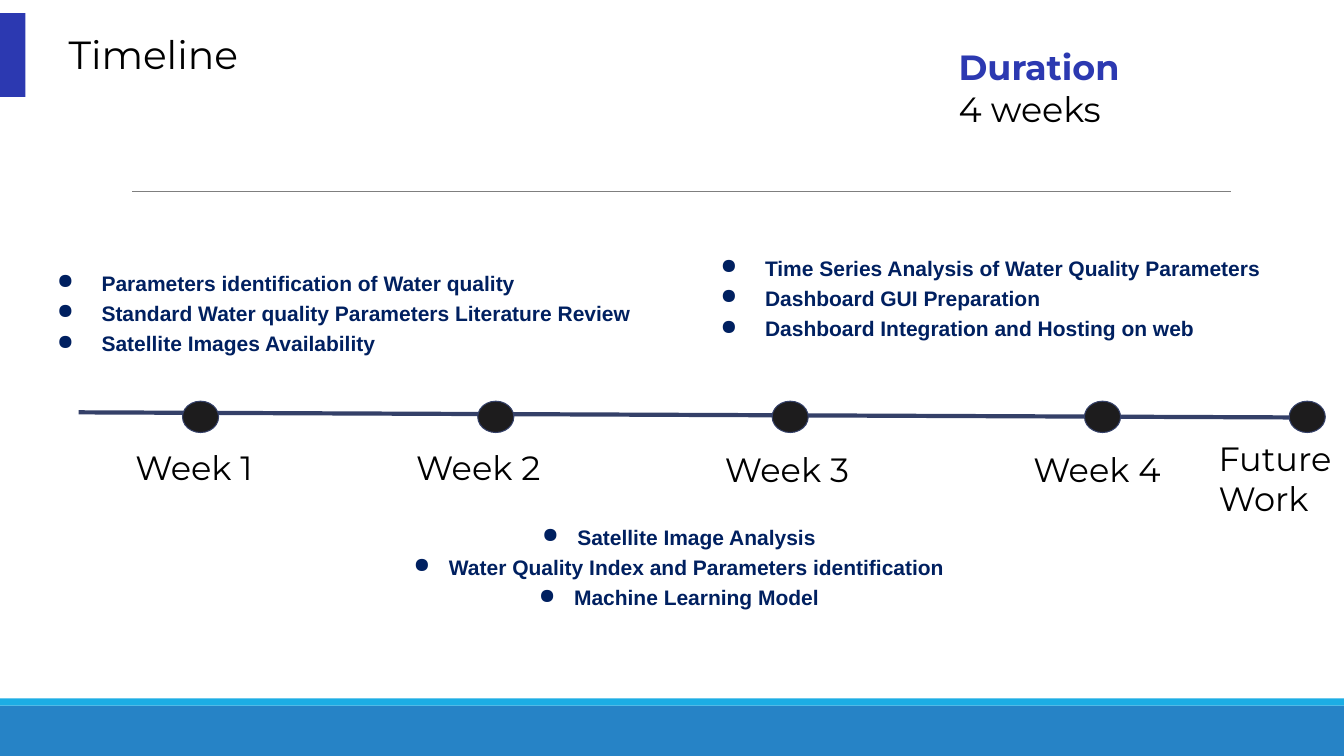
import pptx
import pptx.dml.color
import pptx.enum.shapes
import pptx.enum.text
import pptx.oxml.ns
import pptx.util
from lxml import etree

Cm, Pt = pptx.util.Cm, pptx.util.Pt
SHAPE = pptx.enum.shapes.MSO_SHAPE
ALIGN = pptx.enum.text.PP_ALIGN
ANCHOR = pptx.enum.text.MSO_ANCHOR
qn = pptx.oxml.ns.qn


def rgb(value):
    return pptx.dml.color.RGBColor.from_string(value)


class Deck:
    heading_font = "Montserrat"
    list_font = "Arial"
    black = "000000"
    indigo = "2C39B1"
    navy = "002060"
    slate = "344068"

    def __init__(self, width, height):
        self.prs = pptx.Presentation()
        self.prs.slide_width, self.prs.slide_height = Cm(width), Cm(height)
        self.s = self.prs.slides.add_slide(self.prs.slide_layouts[6])

    def shape(self, kind, x, y, w, h, fill, line=None):
        sp = self.s.shapes.add_shape(kind, Cm(x), Cm(y), Cm(w), Cm(h))
        sp.shadow.inherit = False
        sp.fill.solid()
        sp.fill.fore_color.rgb = rgb(fill)
        if line:
            sp.line.color.rgb = rgb(line)
            sp.line.width = Pt(0.75)
        else:
            sp.line.fill.background()

    def line(self, x1, y1, x2, y2, color, width):
        ln = self.s.shapes.add_connector(
            pptx.enum.shapes.MSO_CONNECTOR.STRAIGHT, Cm(x1), Cm(y1), Cm(x2), Cm(y2))
        ln.line.color.rgb = rgb(color)
        ln.line.width = Pt(width)
        etree.SubElement(ln._element.spPr, qn("a:effectLst"))

    def frame(self, x, y, w, h, inset, anchor=ANCHOR.TOP):
        tf = self.s.shapes.add_textbox(Cm(x), Cm(y), Cm(w), Cm(h)).text_frame
        tf.word_wrap = True
        tf.vertical_anchor = anchor
        tf.margin_left = tf.margin_right = tf.margin_top = tf.margin_bottom = Cm(inset)
        return tf

    def paragraph(self, tf, index, text, font, size, color, bold=False):
        p = tf.add_paragraph() if index else tf.paragraphs[0]
        p.text = text
        p.font.name = font
        p.font.size = Pt(size)
        p.font.bold = bold
        p.font.color.rgb = rgb(color)
        return p

    def label(self, x, y, w, h, text, size):
        tf = self.frame(x, y, w, h, 0.08, ANCHOR.MIDDLE)
        self.paragraph(tf, 0, text, self.heading_font, size, self.black)

    def fact(self, x, y, w, h, name, value):
        tf = self.frame(x, y, w, h, 0.33)
        self.paragraph(tf, 0, name, self.heading_font, 25, self.indigo, True)
        self.paragraph(tf, 1, value, self.heading_font, 25, self.black)

    def bullets(self, x, y, w, items, margin=1.7, hang=1.12, align=ALIGN.LEFT):
        tf = self.frame(x, y, w, 3, 0.33)
        for i, item in enumerate(items):
            p = self.paragraph(tf, i, item, self.list_font, 15, self.navy, True)
            p.alignment = align
            p.line_spacing = 1.2
            pPr = p._p.get_or_add_pPr()
            pPr.set("marL", str(Cm(margin)))
            pPr.set("indent", str(-Cm(hang)))
            clr = etree.Element(qn("a:buClr"))
            etree.SubElement(clr, qn("a:srgbClr"), val=self.navy)
            char = etree.Element(qn("a:buChar"), char="●")
            defaults = pPr.find(qn("a:defRPr"))
            defaults.addprevious(clr)
            defaults.addprevious(char)


def main():
    deck = Deck(33.87, 19.05)
    deck.shape(SHAPE.RECTANGLE, 0, 17.78, 33.87, 1.27, "2683C6")
    deck.shape(SHAPE.RECTANGLE, 0, 17.6, 33.87, 0.18, "1CADE4")
    deck.line(3.33, 4.83, 31.01, 4.83, "7F7F7F", 0.75)
    deck.shape(SHAPE.RECTANGLE, 0, 0.33, 0.64, 2.11, deck.indigo)
    deck.label(1.65, 0, 32, 2.69, "Timeline", 28)
    deck.fact(23.83, 0.81, 9.58, 2.82, "Duration", "4 weeks")

    deck.line(1.98, 10.39, 32.87, 10.52, deck.slate, 3)
    milestones = [
        ("Week 1", 4.6, 3.33, 10.9, 3.45),
        ("Week 2", 12.04, 10.41, 10.9, 3.45),
        ("Week 3", 19.46, 18.19, 10.95, 3.45),
        ("Week 4", 27.33, 25.96, 10.95, 3.96),
        ("Future Work", 32.49, 30.63, 11.18, 3.96),
    ]
    for name, dot_x, x, y, w in milestones:
        deck.shape(SHAPE.OVAL, dot_x, 10.11, 0.91, 0.79, "1D1C1D", deck.slate)
        deck.label(x, y, w, 1.75, name, 24)

    deck.bullets(0.53, 6.35, 16.08, [
        "Parameters identification of Water quality",
        "Standard Water quality Parameters Literature Review",
        "Satellite Images Availability",
    ])
    deck.bullets(9.12, 12.75, 15.6, [
        "Satellite Image Analysis",
        "Water Quality Index and Parameters identification",
        "Machine Learning Model",
    ], 1.27, 0.89, ALIGN.CENTER)
    deck.bullets(17.25, 5.97, 16.41, [
        "Time Series Analysis of Water Quality Parameters",
        "Dashboard GUI Preparation",
        "Dashboard Integration and Hosting on web",
    ])
    deck.prs.save("out.pptx")


if __name__ == "__main__":
    main()
